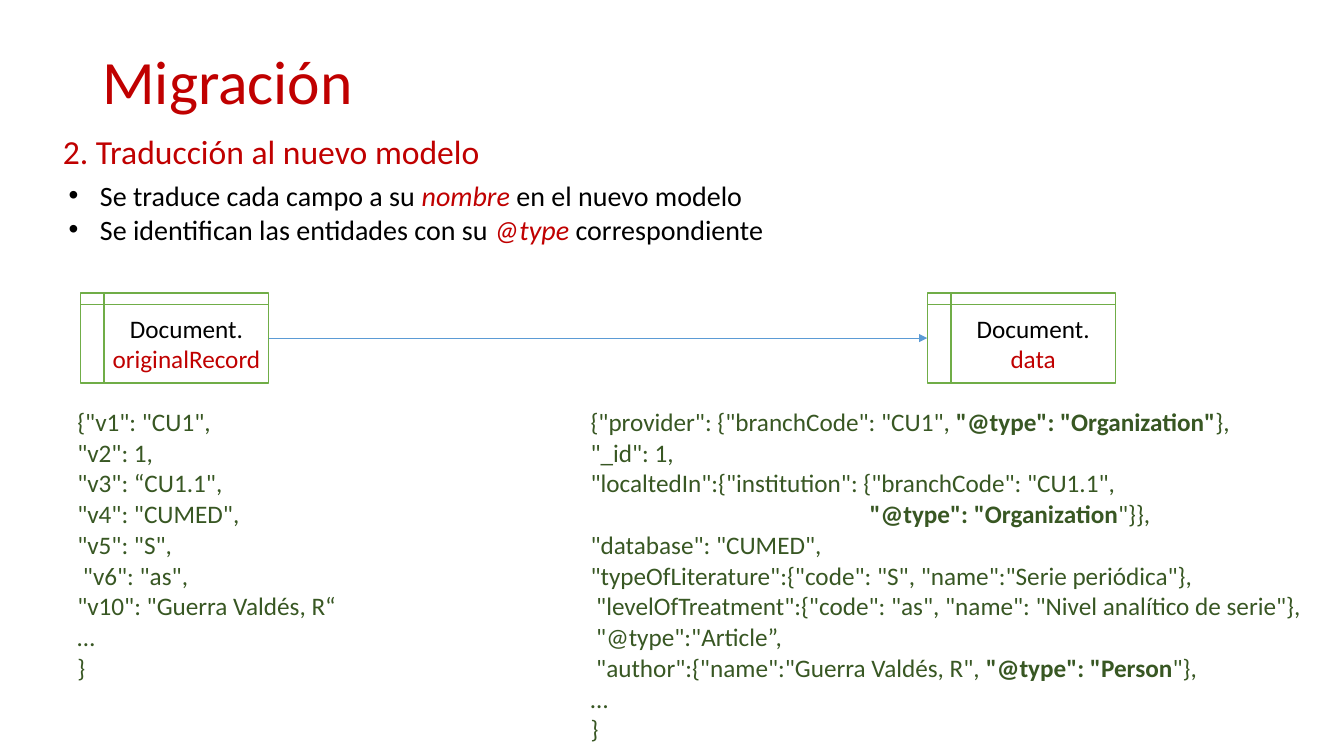
from lxml.etree import SubElement
from pptx import Presentation
from pptx.dml.color import RGBColor
from pptx.enum.shapes import MSO_CONNECTOR, MSO_SHAPE
from pptx.enum.text import MSO_ANCHOR, PP_ALIGN
from pptx.oxml.ns import qn
from pptx.util import Inches, Pt

RED = RGBColor(0xC0, 0x00, 0x00)
BLACK = RGBColor(0x00, 0x00, 0x00)
WHITE = RGBColor(0xFF, 0xFF, 0xFF)
GREEN = RGBColor(0x70, 0xAD, 0x47)
DARK_GREEN = RGBColor(0x38, 0x57, 0x23)
BLUE = RGBColor(0x5B, 0x9B, 0xD5)

# Paragraphs are lists of runs; in code the odd runs are bold
RECORD = [
    ['{"v1": "CU1",'],
    ['"v2": 1,'],
    ['"v3": “CU1.1",'],
    ['"v4": "CUMED",'],
    ['"v5": "S",'],
    [' "v6": "as",'],
    ['"v10": "Guerra Valdés, R“'],
    ['…'],
    ['}'],
]
DATA = [
    ['{"provider": {"branchCode": "CU1", ', '"@type": "Organization"', '},'],
    ['"_id": 1,'],
    ['"localtedIn":{"institution": {"branchCode": "CU1.1",'],
    ['                                                 ', '"@type": "Organization', '"}},'],
    ['"database": "CUMED",'],
    ['"typeOfLiterature":{"code": "S", "name":"Serie periódica"},'],
    [' "levelOfTreatment":{"code": "as", "name": "Nivel analítico de serie"},'],
    [' "@type":"Article”,'],
    [' "author":{"name":"Guerra Valdés, R", ', '"@type": "Person', '"},'],
    ['…'],
    ['}'],
]
BULLETS = [
    ['Se traduce cada campo a su ', 'nombre ', 'en el nuevo modelo'],
    ['Se identifican las entidades con su ', '@type ', 'correspondiente'],
]


class Deck:
    """Style and current slide, on a grid of 32 columns by 18 rows."""
    font = 'Calibri'

    def __init__(self):
        self.prs = Presentation()
        self.prs.slide_width, self.prs.slide_height = Inches(13.333), Inches(7.5)
        self.s = self.prs.slides.add_slide(self.prs.slide_layouts[6])

    def box(self, col, row, cols, rows):
        w, h = self.prs.slide_width / 32, self.prs.slide_height / 18
        return int(col * w), int(row * h), int(cols * w), int(rows * h)

    def run(self, p, text, size, color, bold=False, italic=False):
        r = p.add_run()
        r.text = text
        f = r.font
        f.name, f.size, f.bold, f.italic = self.font, Pt(size), bold, italic
        f.color.rgb = color

    def paragraphs(self, tf, lines):
        for i, line in enumerate(lines):
            yield (tf.add_paragraph() if i else tf.paragraphs[0]), line

    def text(self, area, inset=0.1, anchor=MSO_ANCHOR.TOP):
        tf = self.s.shapes.add_textbox(*self.box(*area)).text_frame
        tf.word_wrap = True
        tf.vertical_anchor = anchor
        tf.margin_left = tf.margin_right = Inches(inset)
        return tf

    def heading(self, text, size, area, spacing=1.0, **frame):
        p = self.text(area, **frame).paragraphs[0]
        p.line_spacing = spacing
        self.run(p, text, size, RED)

    def bullets(self, lines, area):
        for p, line in self.paragraphs(self.text(area), lines):
            pPr = p._p.get_or_add_pPr()
            pPr.set('marL', str(Inches(0.31)))
            pPr.set('indent', str(-Inches(0.31)))
            SubElement(pPr, qn('a:buFont')).set('typeface', 'Arial')
            SubElement(pPr, qn('a:buChar')).set('char', '•')
            for i, text in enumerate(line):
                self.run(p, text, 20, RED if i % 2 else BLACK, italic=i % 2 == 1)

    def storage(self, field, area):
        sp = self.s.shapes.add_shape(MSO_SHAPE.FLOWCHART_INTERNAL_STORAGE, *self.box(*area))
        sp.shadow.inherit = False
        sp.fill.solid()
        sp.fill.fore_color.rgb = WHITE
        sp.line.color.rgb = GREEN
        sp.line.width = Pt(1)
        tf = sp.text_frame
        tf.word_wrap = True
        tf.vertical_anchor = MSO_ANCHOR.MIDDLE
        tf.margin_left = tf.margin_right = Inches(0.04)
        for p, (text, color) in self.paragraphs(tf, [('Document.', BLACK), (field, RED)]):
            p.alignment = PP_ALIGN.CENTER
            self.run(p, text, 18, color)
        return sp

    def arrow(self, start, end):
        c = self.s.shapes.add_connector(MSO_CONNECTOR.STRAIGHT, 0, 0, 0, 0)
        c.begin_connect(start, 3)
        c.end_connect(end, 1)
        c.line.color.rgb = BLUE
        c.line.width = Pt(0.5)
        SubElement(c.line._get_or_add_ln(), qn('a:tailEnd')).set('type', 'triangle')
        SubElement(c._element.spPr, qn('a:effectLst'))

    def code(self, lines, area):
        table = self.s.shapes.add_table(1, 1, *self.box(*area)).table
        table.first_row = table.horz_banding = False
        cell = table.cell(0, 0)
        cell.fill.background()
        cell.vertical_anchor = MSO_ANCHOR.MIDDLE
        for p, line in self.paragraphs(cell.text_frame, lines):
            for i, text in enumerate(line):
                self.run(p, text, 18, DARK_GREEN, bold=i % 2 == 1)


def main():
    deck = Deck()

    # Headings and bullets
    deck.heading('Migración', 44, (2.2, 0.96, 27.6, 2.09), 0.9, anchor=MSO_ANCHOR.MIDDLE)
    deck.heading('2. Traducción al nuevo modelo', 24, (1.4, 3, 10.32, 1.2), inset=0.04)
    deck.bullets(BULLETS, (1.4, 4.13, 26.42, 1.85))

    # Migration from one field to the other
    record = deck.storage('originalRecord', (1.92, 6.98, 4.48, 2.14))
    data = deck.storage('data', (22.08, 6.98, 4.48, 2.14))
    deck.arrow(record, data)

    # Code before and after
    deck.code(RECORD, (1.6, 9.58, 10.1, 6.72))
    deck.code(DATA, (13.82, 9.58, 18.1, 8.16))

    deck.prs.save("out.pptx")


if __name__ == "__main__":
    main()
